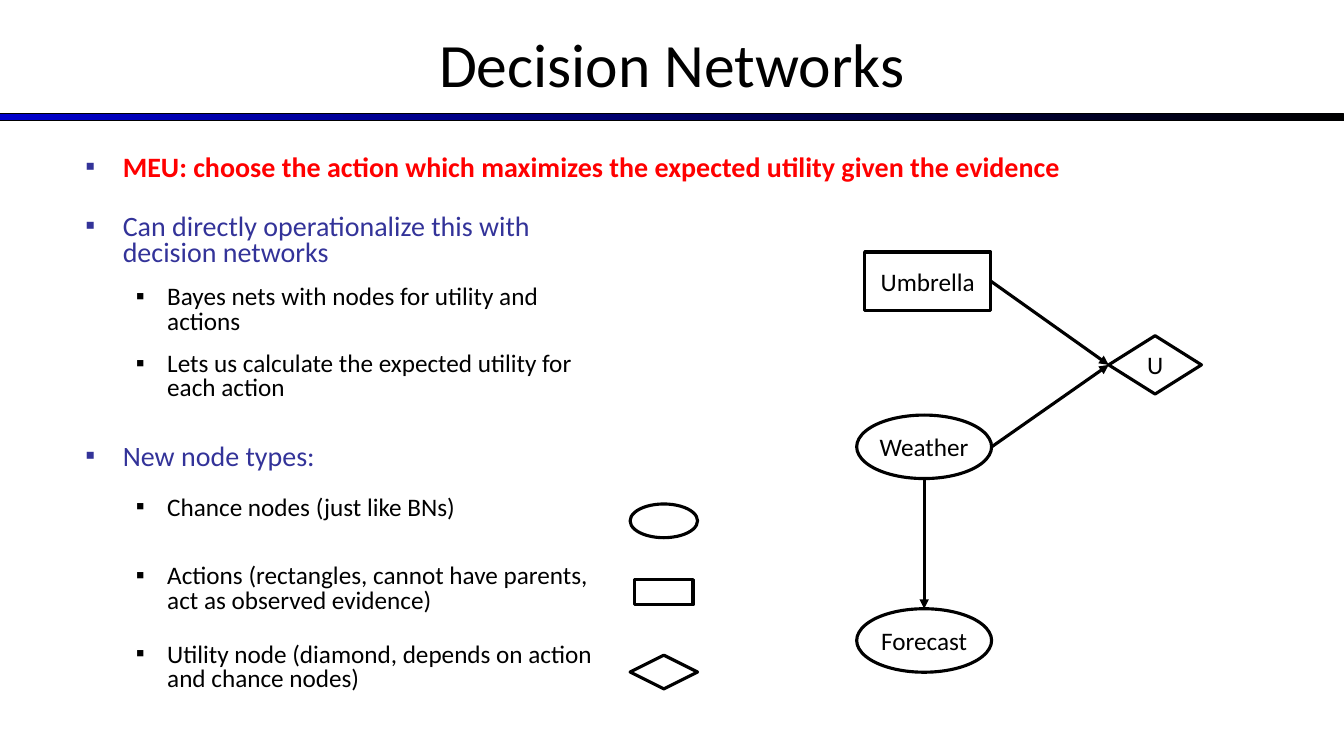
from lxml.etree import SubElement
from pptx import Presentation
from pptx.dml.color import RGBColor
from pptx.enum.shapes import MSO_CONNECTOR, MSO_SHAPE as Shape
from pptx.enum.text import MSO_ANCHOR as Anchor, MSO_AUTO_SIZE, PP_ALIGN as Align
from pptx.oxml.ns import qn
from pptx.util import Cm, Pt

BLACK = RGBColor(0x00, 0x00, 0x00)
WHITE = RGBColor(0xFF, 0xFF, 0xFF)
RED = RGBColor(0xFF, 0x00, 0x00)
INDIGO = RGBColor(0x33, 0x33, 0x99)
BLUE = RGBColor(0x00, 0x00, 0xCC)
FONT = "Calibri"

SLIDE_WIDTH, SLIDE_HEIGHT = Cm(33.87), Cm(19.05)

# Level -> left margin, hanging indent, size, colour
LIST_LEVELS = {
    0: (Cm(0.94), Cm(0.94), 20, INDIGO),
    1: (Cm(2.06), Cm(0.79), 18, BLACK),
}
HEADLINE = "MEU: choose the action which maximizes the expected utility given the evidence"
# Level, space before in points, text
POINTS = [
    (0, 0, "Can directly operationalize this with decision networks"),
    (1, 13, "Bayes nets with nodes for utility and actions"),
    (1, 13, "Lets us calculate the expected utility for each action"),
    (0, 31, "New node types:"),
    (1, 18, "Chance nodes (just like BNs)"),
    (1, 31.5, "Actions (rectangles, cannot have parents, act as observed evidence)"),
    (1, 21.5, "Utility node (diamond, depends on action and chance nodes)"),
]


def set_font(paragraph, size, color, bold=False):
    font = paragraph.font
    font.name, font.size, font.bold = FONT, Pt(size), bold
    font.color.rgb = color


def place(shape, box):
    shape.left, shape.top, shape.width, shape.height = box


def add_title(slide, box):
    title = slide.shapes.title
    place(title, box)
    frame = title.text_frame
    frame.text = "Decision Networks"
    frame.auto_size = MSO_AUTO_SIZE.NONE
    frame.vertical_anchor = Anchor.MIDDLE
    paragraph = frame.paragraphs[0]
    paragraph.alignment = Align.CENTER
    set_font(paragraph, 44, BLACK)


def add_title_rule(slide, box):
    rule = slide.shapes.add_shape(Shape.RECTANGLE, *box)
    rule.shadow.inherit = False
    rule.fill.gradient()
    rule.fill.gradient_angle = 0
    for stop, color in zip(rule.fill.gradient_stops, (BLUE, BLACK)):
        stop.color.rgb = color
    rule.line.color.rgb = BLACK
    rule.line.width = Pt(0.75)


def add_bullet(paragraph, margin, hanging, color):
    properties = paragraph._p.get_or_add_pPr()
    properties.set("marL", str(margin))
    properties.set("indent", str(-hanging))
    bullet_color = SubElement(properties, qn("a:buClr"))
    SubElement(bullet_color, qn("a:srgbClr"), val=str(color))
    SubElement(properties, qn("a:buChar"), char="▪")


def fill_list(placeholder, box, points, color=None, bold=False):
    """Write bulleted points; a given color replaces the level's text color."""
    place(placeholder, box)
    frame = placeholder.text_frame
    frame.auto_size = MSO_AUTO_SIZE.NONE
    frame.vertical_anchor = Anchor.TOP
    frame.text = "\n".join(text for _, _, text in points)
    for paragraph, (level, space_before, _) in zip(frame.paragraphs, points):
        margin, hanging, size, level_color = LIST_LEVELS[level]
        paragraph.level = level
        add_bullet(paragraph, margin, hanging, level_color)
        paragraph.line_spacing = 0.8
        paragraph.space_before = Pt(space_before)
        set_font(paragraph, size, color or level_color, bold)


def add_node(slide, kind, box, label=""):
    node = slide.shapes.add_shape(kind, *box)
    node.shadow.inherit = False
    node.fill.solid()
    node.fill.fore_color.rgb = WHITE
    node.line.color.rgb = BLACK
    node.line.width = Pt(2.25)
    if label:
        frame = node.text_frame
        frame.text = label
        frame.word_wrap = False
        frame.vertical_anchor = Anchor.MIDDLE
        paragraph = frame.paragraphs[0]
        paragraph.alignment = Align.CENTER
        set_font(paragraph, 18, BLACK)
    return node


def edge_point(node, across, down):
    """Point at the given fractions of the node's width and height."""
    return node.left + int(node.width * across), node.top + int(node.height * down)


def add_arrow(slide, start, end):
    arrow = slide.shapes.add_connector(MSO_CONNECTOR.STRAIGHT, *start, *end)
    arrow.line.color.rgb = BLACK
    arrow.line.width = Pt(2.25)
    SubElement(arrow.line._get_or_add_ln(), qn("a:tailEnd"), type="triangle")
    SubElement(arrow._element.spPr, qn("a:effectLst"))


def add_network(slide, box):
    left, top, width, height = box
    oval_width, oval_height = Cm(3.4), Cm(1.6)
    utility_width, node_height = Cm(2.34), Cm(1.47)
    weather = add_node(slide, Shape.OVAL,
                       (left, top + Cm(4.11), oval_width, oval_height), "Weather")
    forecast = add_node(slide, Shape.OVAL,
                        (left, top + height - oval_height, oval_width, oval_height), "Forecast")
    umbrella = add_node(slide, Shape.RECTANGLE,
                        (left + Cm(0.2), top, Cm(3.18), node_height), "Umbrella")
    utility = add_node(slide, Shape.DIAMOND,
                       (left + width - utility_width, top + Cm(2.11),
                        utility_width, node_height), "U")
    add_arrow(slide, edge_point(weather, 0.5, 1), edge_point(forecast, 0.5, 0))
    for source in (umbrella, weather):
        add_arrow(slide, edge_point(source, 1, 0.5), edge_point(utility, 0, 0.5))


def add_legend(slide, box):
    left, top, width, height = box
    symbol_height = Cm(0.85)
    pitch = (height - symbol_height) // 2
    symbols = [
        (Shape.OVAL, width, symbol_height),
        (Shape.RECTANGLE, Cm(1.47), Cm(0.64)),
        (Shape.DIAMOND, width, symbol_height),
    ]
    for row, (kind, symbol_width, own_height) in enumerate(symbols):
        add_node(slide, kind, (left + (width - symbol_width) // 2, top + row * pitch,
                               symbol_width, own_height))


def main():
    presentation = Presentation()
    presentation.slide_width, presentation.slide_height = SLIDE_WIDTH, SLIDE_HEIGHT
    two_content = presentation.slide_layouts[3]
    slide = presentation.slides.add_slide(two_content)
    _, headline, points = slide.placeholders

    add_title_rule(slide, (0, Cm(2.87), SLIDE_WIDTH, Cm(0.18)))
    add_title(slide, (0, 0, SLIDE_WIDTH, Cm(3.18)))
    fill_list(headline, (Cm(1.9), Cm(3.81), Cm(26.24), Cm(13.2)),
              [(0, 0, HEADLINE)], RED, bold=True)
    fill_list(points, (Cm(1.9), Cm(5.28), Cm(13.34), Cm(12.14)), POINTS)
    add_network(slide, (Cm(21.59), Cm(6.35), Cm(8.69), Cm(10.59)))
    add_legend(slide, (Cm(15.88), Cm(12.7), Cm(1.7), Cm(4.66)))
    presentation.save("out.pptx")


if __name__ == "__main__":
    main()
